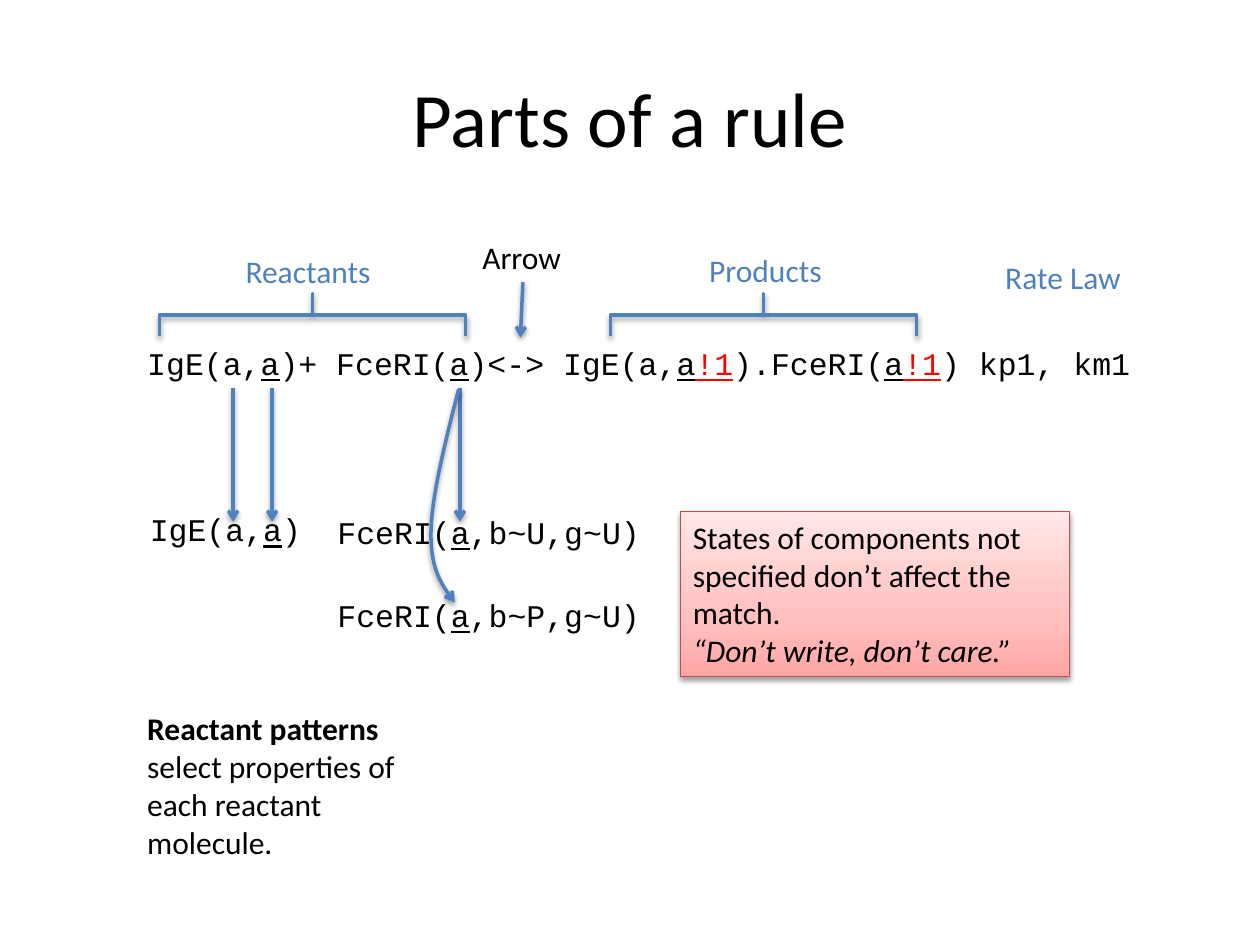
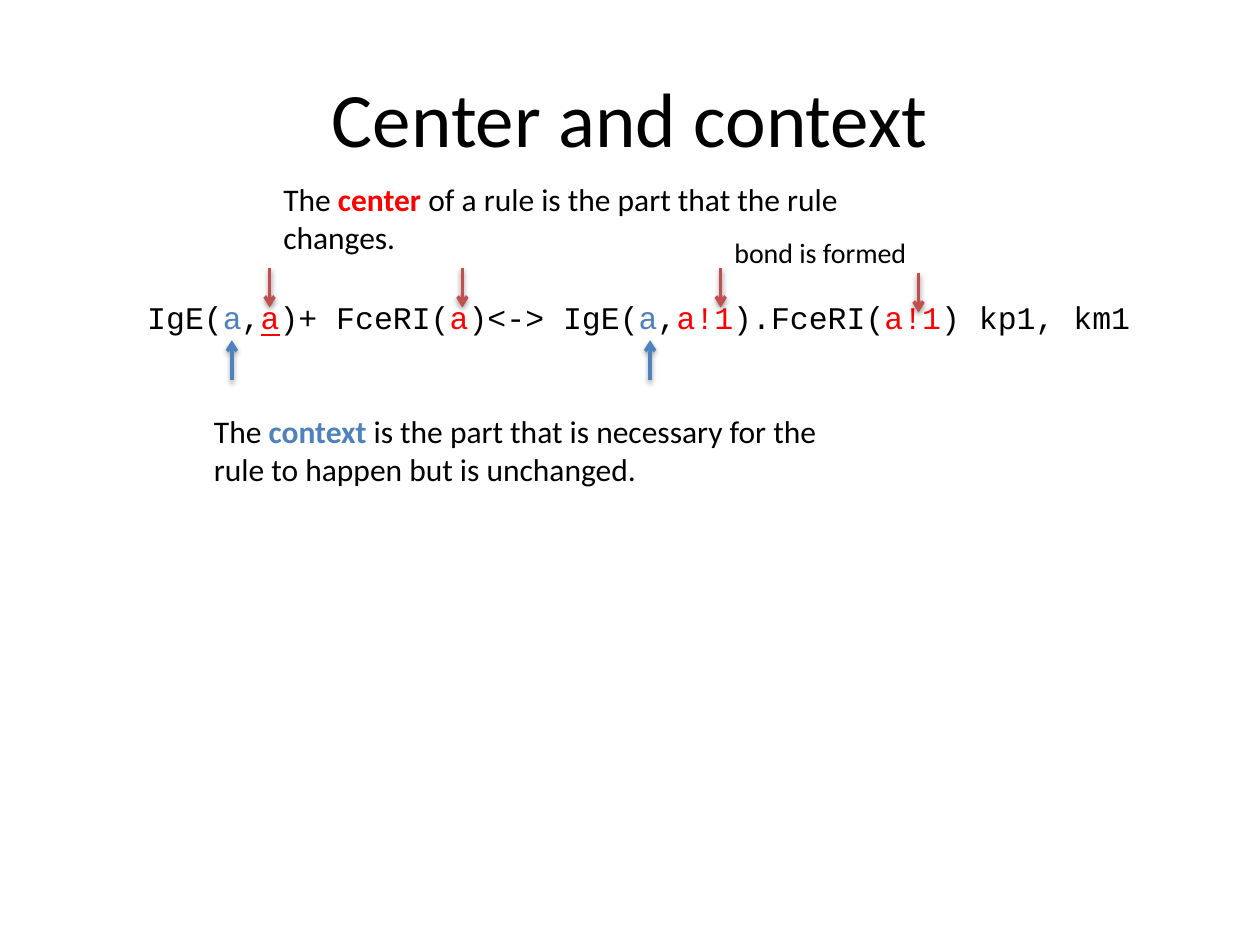
from copy import deepcopy

from lxml import etree
from pptx import Presentation
from pptx.dml.color import RGBColor
from pptx.enum.shapes import MSO_CONNECTOR, MSO_SHAPE
from pptx.enum.text import MSO_ANCHOR, MSO_AUTO_SIZE, PP_ALIGN
from pptx.oxml.ns import qn
from pptx.util import Inches, Pt

STRAIGHT = MSO_CONNECTOR.STRAIGHT
BRACE = MSO_SHAPE.LEFT_BRACE
RECTANGLE = MSO_SHAPE.RECTANGLE
TOP, MIDDLE = MSO_ANCHOR.TOP, MSO_ANCHOR.MIDDLE
FIT_TEXT = MSO_AUTO_SIZE.SHAPE_TO_FIT_TEXT
LEFT, CENTER = PP_ALIGN.LEFT, PP_ALIGN.CENTER

BLACK = RGBColor(0x00, 0x00, 0x00)
BLUE = RGBColor(0x4F, 0x81, 0xBD)
BRICK = RGBColor(0xC0, 0x50, 0x4D)
RED = RGBColor(0xFF, 0x00, 0x00)
NOTE_BORDER = RGBColor(0xBF, 0x4C, 0x48)
NOTE_STOPS = [(0, RGBColor(0xFF, 0xA6, 0xA5)),
              (0.35, RGBColor(0xFF, 0xC0, 0xBF)),
              (1, RGBColor(0xFF, 0xE7, 0xE7))]

BODY_FONT = "Calibri"
CODE_FONT = "Courier New"
BOUND = {"underline": True}
BOND = {"underline": True, "color": RED}
CONTEXT = {"color": BLUE}
CENTER_PART = {"color": RED}


def add_span(para, text, font=BODY_FONT, size=18, color=BLACK,
             bold=False, italic=False, underline=False):
    span = para.add_run()
    span.text = text
    span.font.name = font
    span.font.size = Pt(size)
    span.font.color.rgb = color
    span.font.bold = bold
    span.font.italic = italic
    span.font.underline = underline


def write_para(para, spans, align=LEFT, **style):
    para.alignment = align
    for span in spans:
        text, changes = (span, {}) if isinstance(span, str) else span
        add_span(para, text, **{**style, **changes})


def add_text(page, spans, left, top, width, height=0.4, wrap=False, **style):
    box = page.shapes.add_textbox(Inches(left), Inches(top), Inches(width), Inches(height))
    box.text_frame.word_wrap = wrap
    box.text_frame.auto_size = FIT_TEXT
    write_para(box.text_frame.paragraphs[0], spans, **style)
    return box


def add_code(page, spans, left, top, width):
    return add_text(page, spans, left, top, width, font=CODE_FONT)


def add_shadow(shape):
    effects = etree.SubElement(shape._element.spPr, qn("a:effectLst"))
    shadow = etree.SubElement(effects, qn("a:outerShdw"), blurRad=str(Pt(3.1)),
                              dist=str(Pt(1.6)), dir="5400000", rotWithShape="0")
    color = etree.SubElement(shadow, qn("a:srgbClr"), val="000000")
    etree.SubElement(color, qn("a:alpha"), val="38000")


def draw_line(shape, color=BLUE, width=2, arrow=False):
    shape.line.color.rgb = color
    shape.line.width = Pt(width)
    if arrow:
        outline = shape._element.spPr.find(qn("a:ln"))
        etree.SubElement(outline, qn("a:tailEnd"), type="arrow")
    add_shadow(shape)


def add_arrow(page, start, end, color=BLUE, source=None):
    arrow = page.shapes.add_connector(STRAIGHT, *map(Inches, start + end))
    if source is not None:
        arrow.begin_connect(source, 2)
    draw_line(arrow, color, arrow=True)


def add_brace(page, center, middle, span=2.43, depth=0.34):
    brace = page.shapes.add_shape(BRACE, Inches(center - depth / 2), Inches(middle - span / 2),
                                  Inches(depth), Inches(span))
    brace.rotation = 90
    brace.adjustments[0] = 0
    brace.adjustments[1] = 0.5
    brace.fill.background()
    draw_line(brace)


def bezier_points(start, first, second, end, steps=16):
    for step in range(1, steps + 1):
        t = step / steps
        weights = ((1 - t) ** 3, 3 * t * (1 - t) ** 2, 3 * t * t * (1 - t), t ** 3)
        corners = (start, first, second, end)
        yield tuple(Inches(sum(weight * corner[axis] for weight, corner in zip(weights, corners)))
                    for axis in (0, 1))


def add_curved_arrow(page, start, *segments):
    builder = page.shapes.build_freeform(Inches(start[0]), Inches(start[1]))
    for segment in segments:
        builder.add_line_segments(list(bezier_points(start, *segment)), close=False)
        start = segment[-1]
    curve = builder.convert_to_shape()
    curve.fill.background()
    draw_line(curve, arrow=True)


def add_note(page, paragraphs, left, top, width, height):
    note = page.shapes.add_shape(RECTANGLE, Inches(left), Inches(top),
                                 Inches(width), Inches(height))
    note.fill.gradient()
    note.fill.gradient_angle = 90
    stop_list = note._element.spPr.find(".//" + qn("a:gsLst"))
    stop_list.append(deepcopy(stop_list[0]))
    for stop, (position, color) in zip(note.fill.gradient_stops, NOTE_STOPS):
        stop.position = position
        stop.color.rgb = color
    draw_line(note, NOTE_BORDER, 0.75)
    frame = note.text_frame
    frame.word_wrap = True
    frame.auto_size = FIT_TEXT
    frame.vertical_anchor = TOP
    for index, spans in enumerate(paragraphs):
        write_para(frame.add_paragraph() if index else frame.paragraphs[0], spans)


def add_page(deck, title):
    page = deck.slides.add_slide(deck.slide_layouts[5])
    box = page.shapes.title
    box.left, box.top, box.width, box.height = map(Inches, (0.5, 0.3, 9, 1.25))
    box.text_frame.vertical_anchor = MIDDLE
    write_para(box.text_frame.paragraphs[0], [title], align=CENTER, size=44)
    return page


def build_parts_page(deck):
    page = add_page(deck, "Parts of a rule")
    add_code(page, ["IgE(a,", ("a", BOUND), ")+ FceRI(", ("a", BOUND), ")<-> IgE(a,",
                    ("a", BOUND), ("!1", BOND), ").FceRI(", ("a", BOUND), ("!1", BOND),
                    ") kp1, km1"], 1.07, 2.68, 8.08)
    for label, left, top, width in (("Reactants", 1.85, 1.95, 1.21),
                                    ("Products", 5.53, 1.94, 1.11),
                                    ("Rate Law", 7.88, 2, 1.13)):
        add_text(page, [label], left, top, width, color=BLUE)
    for center in (2.48, 6.06):
        add_brace(page, center, 2.5)
    arrow_label = add_text(page, ["Arrow"], 3.73, 1.84, 0.84)
    add_arrow(page, (4.15, 2.24), (4.13, 2.68), source=arrow_label)

    add_text(page, [("Reactant patterns ", {"bold": True}),
                    "select properties of each reactant molecule."],
             1.07, 5.58, 2.53, 1.31, wrap=True)
    add_code(page, ["IgE(a,", ("a", BOUND), ")"], 1.09, 4, 1.41)
    for state, top in (("U", 4.02), ("P", 4.68)):
        add_code(page, ["FceRI(", ("a", BOUND), f",b~{state},g~U)"], 2.58, top, 2.63)
    for x in (1.85, 2.16, 3.65):
        add_arrow(page, (x, 3.08), (x, 4.14))
    add_note(page, [["States of components not specified don’t affect the match."],
                    [("“Don’t write, don’t care.”", {"italic": True})]],
             5.4, 4.06, 3.09, 1.31)
    add_curved_arrow(page, (3.64, 3.09),
                     ((3.53, 3.52), (3.42, 3.96), (3.42, 4.24)),
                     ((3.42, 4.53), (3.51, 4.65), (3.61, 4.78)))


def build_context_page(deck):
    page = add_page(deck, "Center and context")
    add_text(page, ["The ", ("center", {"color": RED, "bold": True}),
                    " of a rule is the part that the rule changes."],
             2.15, 1.38, 5.14, 0.71, wrap=True)
    add_code(page, ["IgE(", ("a", CONTEXT), ",", ("a", BOND), ")+ FceRI(",
                    ("a", CENTER_PART), ")<-> IgE(", ("a", CONTEXT), ",",
                    ("a!1", CENTER_PART), ").FceRI(", ("a!1", CENTER_PART),
                    ") kp1, km1"], 1.07, 2.32, 8.08)
    add_text(page, ["The ", ("context ", {"color": BLUE, "bold": True}),
                    "is the part that is necessary for the rule to happen but is unchanged."],
             1.6, 3.22, 5, 0.71, wrap=True)
    for x in (1.84, 5.16):
        add_arrow(page, (x, 3.02), (x, 2.7))
    for x, top in ((2.14, 2.13), (3.67, 2.13), (5.72, 2.13), (7.29, 2.17)):
        add_arrow(page, (x, top), (x, top + 0.31), BRICK)
    add_text(page, ["bond is formed"], 5.73, 1.82, 1.59, 0.37, size=16)


def main():
    deck = Presentation()
    deck.slide_width, deck.slide_height = Inches(10), Inches(7.5)
    build_parts_page(deck)
    build_context_page(deck)
    deck.save("out.pptx")


if __name__ == "__main__":
    main()
